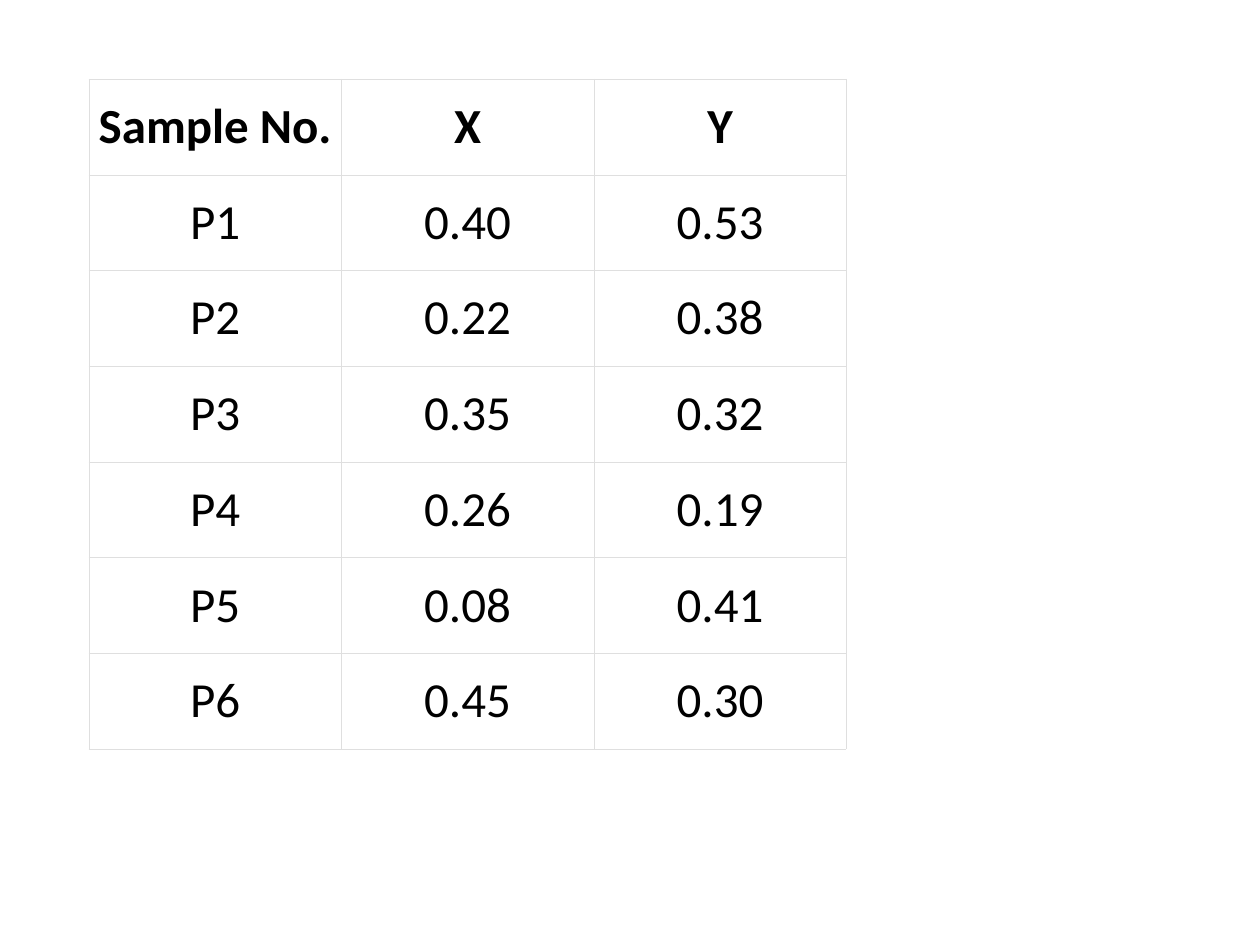
from pptx import Presentation
from pptx.dml.color import RGBColor
from pptx.enum.text import MSO_ANCHOR, PP_ALIGN
from pptx.oxml import parse_xml
from pptx.oxml.ns import nsdecls
from pptx.util import Cm, Pt

SAMPLES = [
    ("Sample No.", "X", "Y"),
    ("P1", "0.40", "0.53"),
    ("P2", "0.22", "0.38"),
    ("P3", "0.35", "0.32"),
    ("P4", "0.26", "0.19"),
    ("P5", "0.08", "0.41"),
    ("P6", "0.45", "0.30"),
]
COLUMN_WIDTH = Cm(5.09)
ROW_HEIGHT = Cm(1.93)
CELL_FORMAT = {
    "vertical_anchor": MSO_ANCHOR.MIDDLE,
    "margin_left": Cm(0.18),
    "margin_right": Cm(0.18),
    "margin_top": Cm(0.25),
    "margin_bottom": Cm(0.25),
}
FONT_FORMAT = {"name": "Calibri", "size": Pt(28)}


def paint(color_format, hex_color):
    color_format.rgb = RGBColor.from_string(hex_color)


def set_attributes(target, values):
    for name, value in values.items():
        setattr(target, name, value)


def add_borders(cell, hex_color, width):
    properties = cell._tc.get_or_add_tcPr()
    for side in "LRTB":
        properties.append(parse_xml(
            f'<a:ln{side} {nsdecls("a")} w="{width}"><a:solidFill>'
            f'<a:srgbClr val="{hex_color}"/></a:solidFill></a:ln{side}>'))


def fill_cell(cell, text, bold):
    set_attributes(cell, CELL_FORMAT)
    # Borders come before the fill in the cell properties
    add_borders(cell, "DFDFDF", Pt(0.15))
    cell.fill.solid()
    paint(cell.fill.fore_color, "FFFFFF")

    paragraph = cell.text_frame.paragraphs[0]
    paragraph.alignment = PP_ALIGN.CENTER
    run = paragraph.add_run()
    run.text = text
    set_attributes(run.font, FONT_FORMAT | {"bold": bold})
    paint(run.font.color, "000000")


def add_sample_table(slide, left, top):
    row_count, column_count = len(SAMPLES), len(SAMPLES[0])
    samples = slide.shapes.add_table(
        row_count, column_count, left, top,
        COLUMN_WIDTH * column_count, ROW_HEIGHT * row_count).table
    samples.horz_banding = False
    for column in samples.columns:
        column.width = COLUMN_WIDTH
    for row_index, (row, values) in enumerate(zip(samples.rows, SAMPLES)):
        row.height = ROW_HEIGHT
        for cell, value in zip(row.cells, values):
            fill_cell(cell, value, bold=row_index == 0)


def main():
    # Slide on the blank layout
    deck = Presentation()
    deck.slide_width, deck.slide_height = Cm(25.4), Cm(19.05)
    slide = deck.slides.add_slide(deck.slide_layouts[6])

    # Sample coordinates
    add_sample_table(slide, Cm(1.79), Cm(1.59))
    deck.save("out.pptx")


if __name__ == "__main__":
    main()
